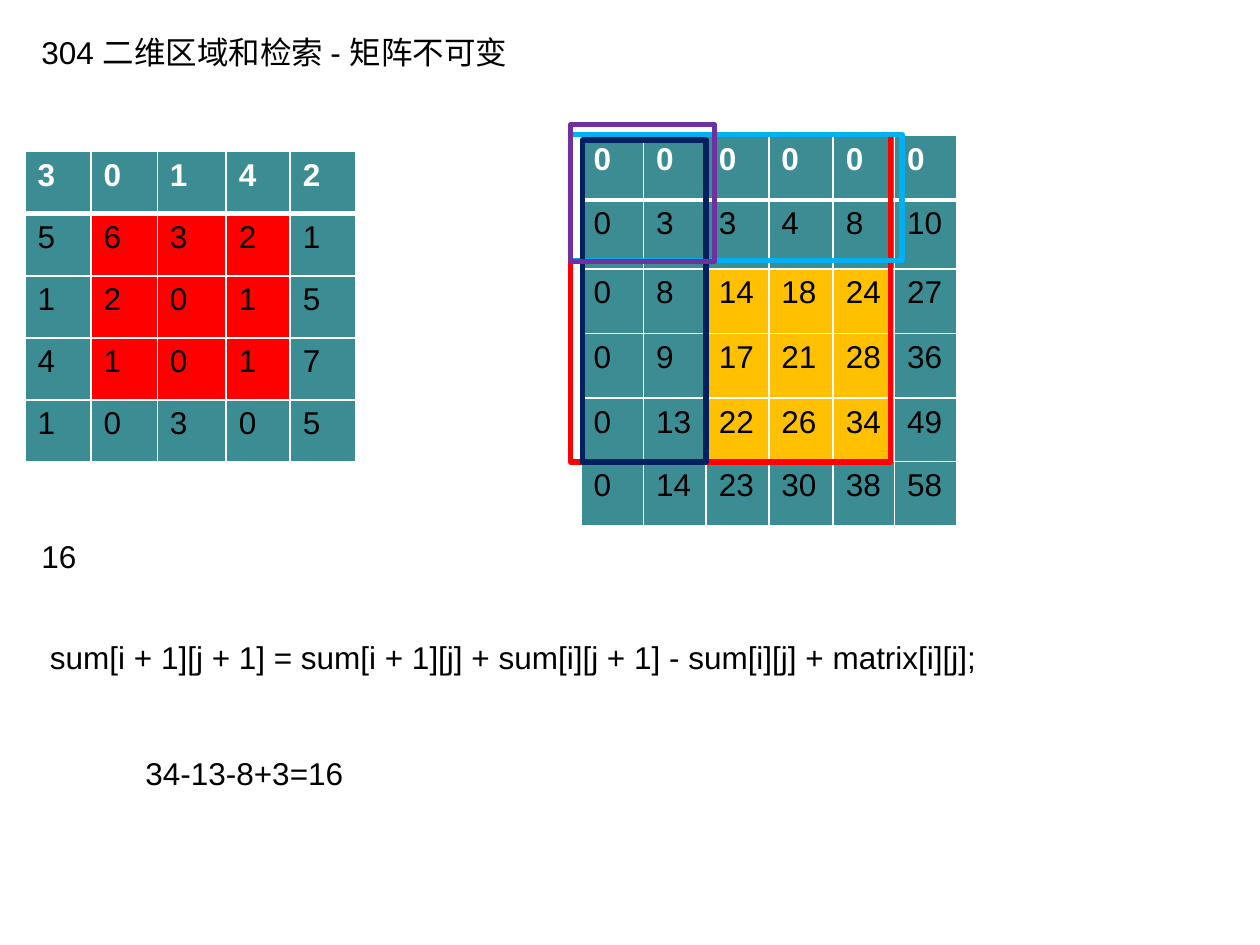
from lxml.etree import SubElement
from pptx import Presentation
from pptx.dml.color import RGBColor
from pptx.enum.shapes import MSO_SHAPE
from pptx.enum.text import MSO_ANCHOR, MSO_AUTO_SIZE, PP_ALIGN
from pptx.oxml.ns import qn
from pptx.util import Pt

COLORS = {
    "cell": "3C8C93", "block": "FF0000", "sums": "FFC000",
    "white": "FFFFFF", "black": "000000",
    "red": "FF0000", "blue": "00B0F0", "navy": "002060", "purple": "7030A0",
}
MATRIX = [
    [3, 0, 1, 4, 2],
    [5, 6, 3, 2, 1],
    [1, 2, 0, 1, 5],
    [4, 1, 0, 1, 7],
    [1, 0, 3, 0, 5],
]


def rgb(name):
    return RGBColor.from_string(COLORS[name])


def prefix_sums(matrix):
    """Return the sums of all top-left blocks, with a leading zero row and column."""
    sums = [[0] * (len(matrix[0]) + 1) for _ in range(len(matrix) + 1)]
    for i, row in enumerate(matrix):
        for j, value in enumerate(row):
            sums[i + 1][j + 1] = sums[i + 1][j] + sums[i][j + 1] - sums[i][j] + value
    return sums


def set_font(p, color="black", bold=False):
    p.font.name = "Arial"
    p.font.size = Pt(18)
    p.font.bold = bold
    p.font.color.rgb = rgb(color)


def set_borders(cell, top=1, bottom=1):
    tcPr = cell._tc.get_or_add_tcPr()
    for side, width in (("L", 1), ("R", 1), ("T", top), ("B", bottom)):
        ln = SubElement(tcPr, qn(f"a:ln{side}"), w=str(Pt(width)))
        fill = SubElement(ln, qn("a:solidFill"))
        SubElement(fill, qn("a:srgbClr"), val=COLORS["white"])


def add_grid(slide, left, top, widths, heights, values, marked, mark_color):
    """Add a number table; marked holds the (row, column) cells in mark_color."""
    table = slide.shapes.add_table(
        len(heights), len(widths), Pt(left), Pt(top),
        Pt(sum(widths)), Pt(sum(heights))).table
    for column, width in zip(table.columns, widths):
        column.width = Pt(width)
    for i, height in enumerate(heights):
        table.rows[i].height = Pt(height)
        for j, value in enumerate(values[i]):
            cell = table.cell(i, j)
            set_borders(cell, top=3 if i == 1 else 1, bottom=3 if i == 0 else 1)
            cell.fill.solid()
            cell.fill.fore_color.rgb = rgb(mark_color if (i, j) in marked else "cell")
            p = cell.text_frame.paragraphs[0]
            p.text = str(value)
            set_font(p, "white" if i == 0 else "black", bold=i == 0)


def add_frame(slide, left, top, width, height, color):
    sp = slide.shapes.add_shape(
        MSO_SHAPE.RECTANGLE, Pt(left), Pt(top), Pt(width), Pt(height))
    sp.shadow.inherit = False
    sp.fill.background()
    sp.line.color.rgb = rgb(color)
    sp.line.width = Pt(3)


def write_line(sp, text):
    tf = sp.text_frame
    tf.word_wrap = True
    tf.auto_size = MSO_AUTO_SIZE.SHAPE_TO_FIT_TEXT
    tf.vertical_anchor = MSO_ANCHOR.TOP
    p = tf.paragraphs[0]
    p.text = text
    p.alignment = PP_ALIGN.LEFT
    set_font(p)


def add_title(slide, left, top, width, height, text):
    title = slide.shapes.title
    title.left, title.top, title.width, title.height = map(
        Pt, (left, top, width, height))
    write_line(title, text)


def add_text(slide, left, top, width, height, text):
    write_line(slide.shapes.add_textbox(Pt(left), Pt(top), Pt(width), Pt(height)), text)


def build_slide(prs):
    slide = prs.slides.add_slide(prs.slide_layouts[5])
    add_title(slide, 16.5, 15, 376.5, 29, "304 二维区域和检索 - 矩阵不可变")

    block = {(i, j) for i in range(1, 4) for j in range(1, 4)}
    add_grid(slide, 14.3, 86.6, [37.8, 37.8, 39.4, 36.6, 37.6], [35.5] * 5,
             MATRIX, block, "block")
    add_grid(slide, 332, 77.4, [35.8, 35.8, 35.8, 36.8, 35, 35.8],
             [36.8, 39.4, 37, 37, 36.3, 36.8],
             prefix_sums(MATRIX), {(i + 1, j + 1) for i, j in block}, "sums")

    add_frame(slide, 326, 77, 183, 187, "red")
    add_frame(slide, 326, 77, 189.5, 72, "blue")
    add_frame(slide, 333, 80, 70.5, 184, "navy")
    add_frame(slide, 326, 71.3, 82.3, 78, "purple")

    add_text(slide, 16.5, 303.5, 240, 29, "16")
    add_text(slide, 16.5, 361, 597, 29,
             " sum[i + 1][j + 1] = sum[i + 1][j] + sum[i][j + 1] - sum[i][j] + matrix[i][j];")
    add_text(slide, 76, 427.5, 240, 29, "34-13-8+3=16")


def main():
    prs = Presentation()
    prs.slide_width, prs.slide_height = Pt(720), Pt(540)
    build_slide(prs)
    prs.save("out.pptx")


if __name__ == "__main__":
    main()
